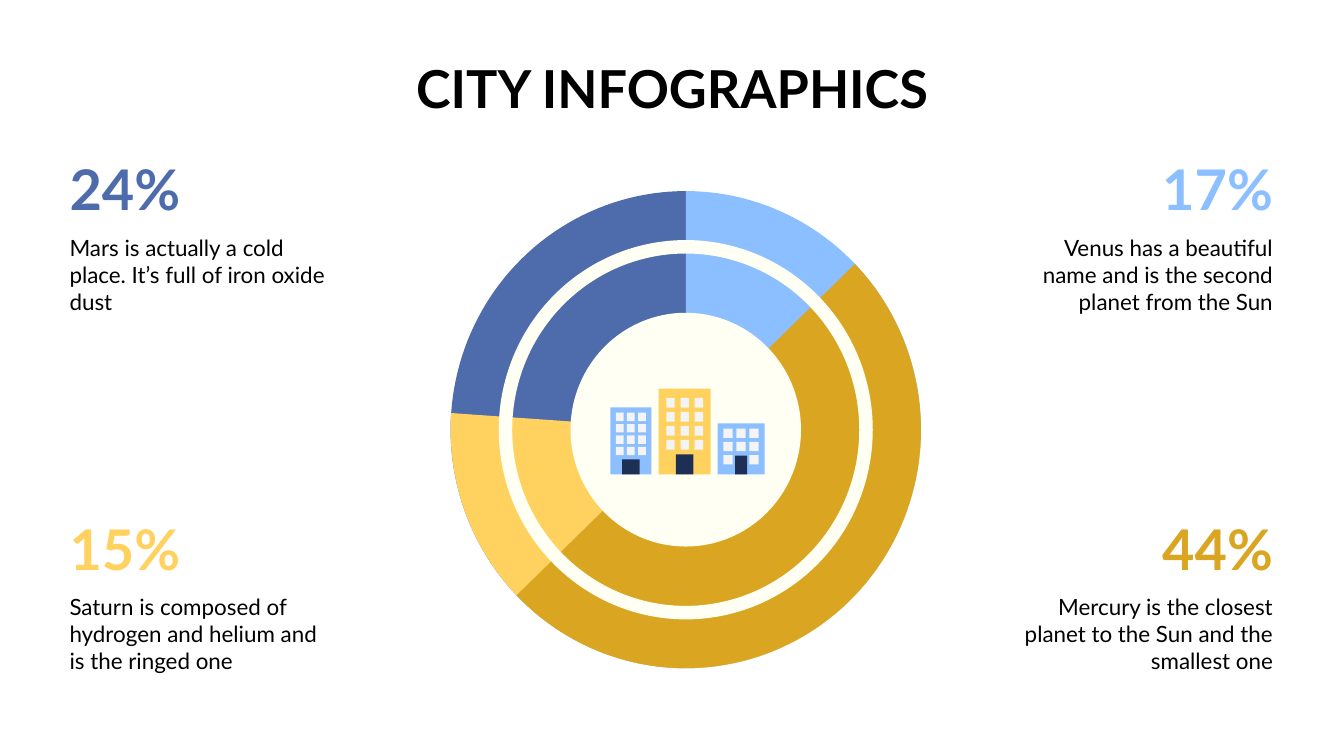
import math
from pptx import Presentation
from pptx import util as u
from pptx.dml.color import RGBColor
from pptx.enum import shapes, text

COLORS = {
    "navy": "4E6BAC", "sky": "8BBFFF", "yellow": "FFD25F", "gold": "DAA622",
    "cream": "FFFFF3", "window": "F4F4F4", "door": "1E2F55", "black": "000000",
}
LEFT, RIGHT, CENTER = text.PP_ALIGN.LEFT, text.PP_ALIGN.RIGHT, text.PP_ALIGN.CENTER
TITLE = {"size": u.Pt(28), "bold": True}
PERCENT = {"size": u.Pt(30), "bold": True}
BODY = {"size": u.Pt(12), "bold": False}


def paint(part, color):
    part.shadow.inherit = False
    part.fill.solid()
    part.fill.fore_color.rgb = RGBColor.from_string(COLORS[color])
    part.line.fill.background()
    return part


def add_preset(slide, kind, box, color):
    return paint(slide.shapes.add_shape(kind, *map(u.Pt, box)), color)


def add_text(slide, box, words, font, color, align, spacing=None):
    label = slide.shapes.add_textbox(*map(u.Pt, box))
    frame = label.text_frame
    margins = {f"margin_{side}": u.Pt(7.2) for side in ("left", "right", "top", "bottom")}
    settings = {"word_wrap": True, "vertical_anchor": text.MSO_ANCHOR.TOP, **margins}
    for name, value in settings.items():
        setattr(frame, name, value)
    paragraph = frame.paragraphs[0]
    for name, value in {"alignment": align, **(spacing or {})}.items():
        setattr(paragraph, name, value)
    run = paragraph.add_run()
    run.text = words
    for name, value in {"name": "Lato", **font}.items():
        setattr(run.font, name, value)
    run.font.color.rgb = RGBColor.from_string(COLORS[color])


def add_half_disc(slide, box, start, color):
    """Half an ellipse, clockwise from a start angle counted from the top."""
    left, top, width, height = box
    rim = []
    for step in range(0, 181, 2):
        angle = math.radians(start + step)
        rim.append((u.Pt(left + width / 2 * (1 + math.sin(angle))),
                    u.Pt(top + height / 2 * (1 - math.cos(angle)))))
    outline = slide.shapes.build_freeform(*rim[0], scale=1.0)
    outline.add_line_segments(rim[1:], close=True)
    paint(outline.convert_to_shape(), color)


def add_wheel(slide, box):
    left, top, width, height = box

    def inner(share):
        return (left + width * (1 - share) / 2, top + height * (1 - share) / 2,
                width * share, height * share)

    # Each half disc covers part of the one before it
    for start, color in ((180, "navy"), (0, "sky"), (94, "yellow"), (46, "gold")):
        # The lower discs end on the left, so yellow starts at its right end
        add_half_disc(slide, box, start, color)
    # Hub and thin ring
    add_preset(slide, shapes.MSO_SHAPE.OVAL, inner(0.49), "cream")
    ring = add_preset(slide, shapes.MSO_SHAPE.DONUT, inner(0.795), "cream")
    ring.adjustments[0] = 0.036


def add_building(slide, box, color, rows, window, pitch, first_row, door):
    left, top, width, height = box
    rectangle = shapes.MSO_SHAPE.RECTANGLE
    add_preset(slide, rectangle, box, color)
    middle = left + width / 2
    door_top = top + height - door[1]
    # Windows in three columns, none where the door stands
    for row in range(rows):
        y = top + first_row + row * pitch[1]
        for column in (-1, 0, 1):
            if column == 0 and y + window[1] > door_top:
                continue
            x = middle + column * pitch[0] - window[0] / 2
            add_preset(slide, rectangle, (x, y, *window), "window")
    add_preset(slide, rectangle, (middle - door[0] / 2, door_top, *door), "door")


def add_city(slide, box):
    left, top, _, height = box
    ground = top + height
    buildings = (
        (25.8, 28, 46, "yellow", 4, (4.5, 5.2), (7.6, 7.5), 5, (9.4, 10.8)),
        (0, 22, 36, "sky", 4, (4.2, 4.5), (6, 6.1), 2.9, (9.4, 8)),
        (57.4, 25.2, 27.4, "sky", 3, (5, 5), (6.9, 7.1), 2.9, (6.5, 10.1)),
    )
    for x, width, tall, *details in buildings:
        add_building(slide, (left + x, ground - tall, width, tall), *details)


def add_callout(slide, box, percent, words, color, align):
    left, top, width, _ = box
    number_width = 103
    number_left = left + (width - number_width if align == RIGHT else 0)
    spacing = {"line_spacing": 1.15, "space_after": u.Pt(16)}
    add_text(slide, (number_left, top, number_width, 30.2), percent, PERCENT, color, align, spacing)
    add_text(slide, (left, top + 47.8, width, 45.4), words, BODY, "black", align)


deck = Presentation()
deck.slide_width, deck.slide_height = u.Pt(720), u.Pt(405)
slide = deck.slides.add_slide(deck.slide_layouts[6])

# Title
add_text(slide, (24.5, 23, 671, 45.4), "CITY INFOGRAPHICS", TITLE, "black", CENTER)

# Wheel with the city in its hub
add_wheel(slide, (241.4, 102.4, 252, 255.6))
add_city(slide, (327, 208.2, 82.6, 46))

# Callouts in the four corners
WEST, EAST, NORTH, SOUTH = 30.2, 537.1, 70.4, 262.8
for x, y, percent, words, color, align in (
    (WEST, NORTH, "24%", "Mars is actually a cold place. It’s full of iron oxide dust", "navy", LEFT),
    (EAST, NORTH, "17%", "Venus has a beautiful name and is the second planet from the Sun", "sky", RIGHT),
    (WEST, SOUTH, "15%", "Saturn is composed of hydrogen and helium and is the ringed one", "yellow", LEFT),
    (EAST, SOUTH, "44%", "Mercury is the closest planet to the Sun and the smallest one", "gold", RIGHT),
):
    add_callout(slide, (x, y, 152, 93.2), percent, words, color, align)

deck.save("out.pptx")
